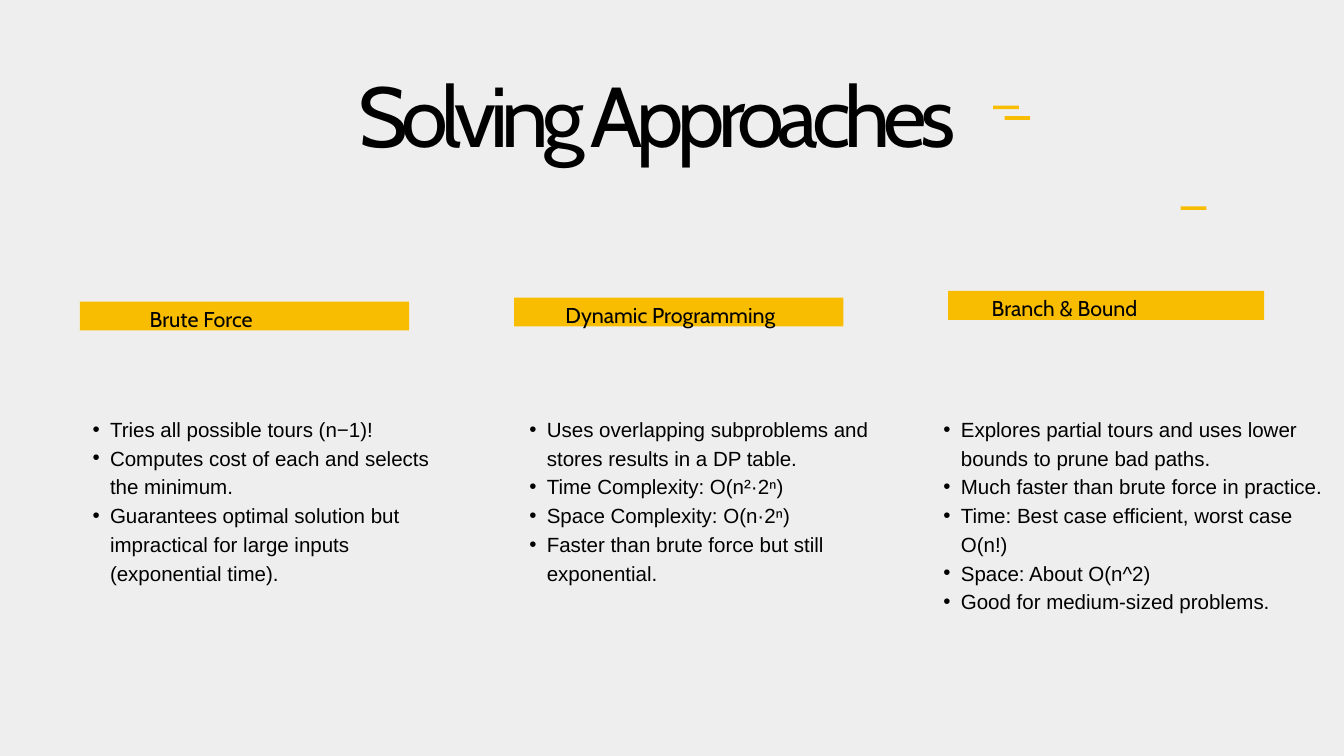
import pptx
import pptx.util
import pptx.dml.color
import pptx.enum.shapes
import pptx.enum.text
import pptx.oxml.ns
from lxml import etree
from pptx.util import Cm

YELLOW, BLACK, GREY = "F8BC00", "000000", "EEEEEE"
LEFT = pptx.enum.text.PP_ALIGN.LEFT
CENTER = pptx.enum.text.PP_ALIGN.CENTER

COLUMN_TOP, BAR_HEIGHT, LIST_DROP = 11, 1.09, 4.6
# Each column: box, bar drop, heading (offset, width), list (offset, width)
COLUMNS = [
    ("Brute Force", (3.02, COLUMN_TOP, 12.45, 12.17), 0.4, (0.33, 8.51), (-0.18, 14.5), [
        "Tries all possible tours (n−1)!",
        "Computes cost of each and selects the minimum.",
        "Guarantees optimal solution but impractical for large inputs (exponential time).",
    ]),
    ("Dynamic Programming", (19.43, COLUMN_TOP, 12.45, 12.17), 0.25, (-0.08, 11.99), (-0.08, 14.43), [
        "Uses overlapping subproblems and stores results in a DP table.",
        "Time Complexity: O(n²·2ⁿ)",
        "Space Complexity: O(n·2ⁿ)",
        "Faster than brute force but still exponential.",
    ]),
    ("Branch & Bound", (35.84, COLUMN_TOP, 11.94, 13.26), 0, (0.36, 8.08), (-0.84, 15.19), [
        "Explores partial tours and uses lower bounds to prune bad paths.",
        "Much faster than brute force in practice.",
        "Time: Best case efficient, worst case O(n!)",
        "Space: About O(n^2)",
        "Good for medium-sized problems.",
    ]),
]
DASHES = [(37.54, 3.99), (37.97, 4.39), (44.63, 7.8)]


def color(value):
    return pptx.dml.color.RGBColor.from_string(value)


def add_bar(page, left, top, width, height):
    bar = page.shapes.add_shape(pptx.enum.shapes.MSO_SHAPE.RECTANGLE,
                                Cm(left), Cm(top), Cm(width), Cm(height))
    bar.shadow.inherit = False
    bar.fill.solid()
    bar.fill.fore_color.rgb = color(YELLOW)
    bar.line.fill.background()


def add_bullet(para, indent=1.32, hanging=0.66):
    para.level = 1
    properties = para._p.get_or_add_pPr()
    properties.set("marL", str(Cm(indent)))
    properties.set("indent", str(-Cm(hanging)))
    font = etree.SubElement(properties, pptx.oxml.ns.qn("a:buFont"))
    font.set("typeface", "Arial")
    bullet = etree.SubElement(properties, pptx.oxml.ns.qn("a:buChar"))
    bullet.set("char", "•")


def write(frame, lines, *, font, size, leading, align=LEFT, bullets=False, tracking=0):
    """Fill a frame with one paragraph a line, without margins."""
    frame.word_wrap = True
    frame.auto_size = pptx.enum.text.MSO_AUTO_SIZE.NONE
    frame.vertical_anchor = pptx.enum.text.MSO_ANCHOR.TOP
    frame.margin_left = frame.margin_right = frame.margin_top = frame.margin_bottom = 0
    for index, line in enumerate(lines):
        para = frame.paragraphs[0] if index == 0 else frame.add_paragraph()
        para.alignment = align
        para.line_spacing = pptx.util.Pt(leading)
        para.space_before = pptx.util.Pt(0)
        if bullets:
            add_bullet(para)
        span = para.add_run()
        span.text = line
        span.font.name = font
        span.font.size = pptx.util.Pt(size)
        span.font.color.rgb = color(BLACK)
        if tracking:
            span.font._element.set("spc", str(tracking * 100))


def add_text(page, left, top, width, height, lines, **text_format):
    box = page.shapes.add_textbox(Cm(left), Cm(top), Cm(width), Cm(height))
    write(box.text_frame, lines, **text_format)


def place_title(page, box, text):
    title = page.shapes.title
    title.left, title.top, title.width, title.height = (Cm(length) for length in box)
    write(title.text_frame, [text], font="Cabin", size=91, leading=127.4, tracking=-7)


def add_column(page, box, heading, bar_drop, heading_span, list_span, points):
    left, top, width, height = box
    bar_top = top + bar_drop
    add_bar(page, left, bar_top, width, BAR_HEIGHT)
    offset, heading_width = heading_span
    add_text(page, left + offset, bar_top, heading_width, BAR_HEIGHT, [heading],
             font="Cabin", size=23, leading=32.2, align=CENTER)
    offset, list_width = list_span
    add_text(page, left + offset, top + LIST_DROP, list_width, height - LIST_DROP, points,
             font="Arial", size=22, leading=30.8, bullets=True)


def main():
    deck = pptx.Presentation()
    deck.slide_width, deck.slide_height = Cm(50.8), Cm(28.58)
    page = deck.slides.add_slide(deck.slide_layouts.get_by_name("Title Only"))
    page.background.fill.solid()
    page.background.fill.fore_color.rgb = color(GREY)
    place_title(page, (13.56, 1.73, 26.01, 4.32), "Solving Approaches")
    for left, top in DASHES:
        add_bar(page, left, top, 0.97, 0.14)
    for heading, box, *layout in COLUMNS:
        add_column(page, box, heading, *layout)
    deck.save("out.pptx")


if __name__ == "__main__":
    main()
